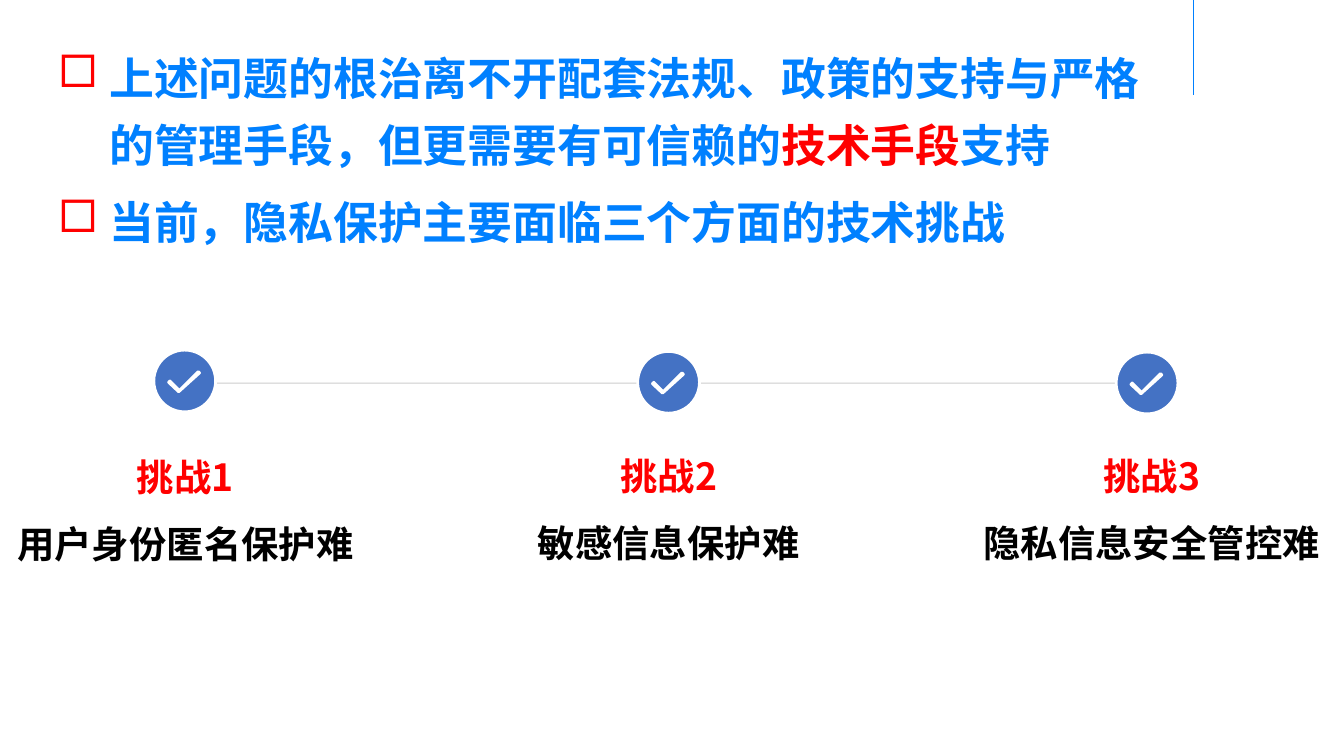
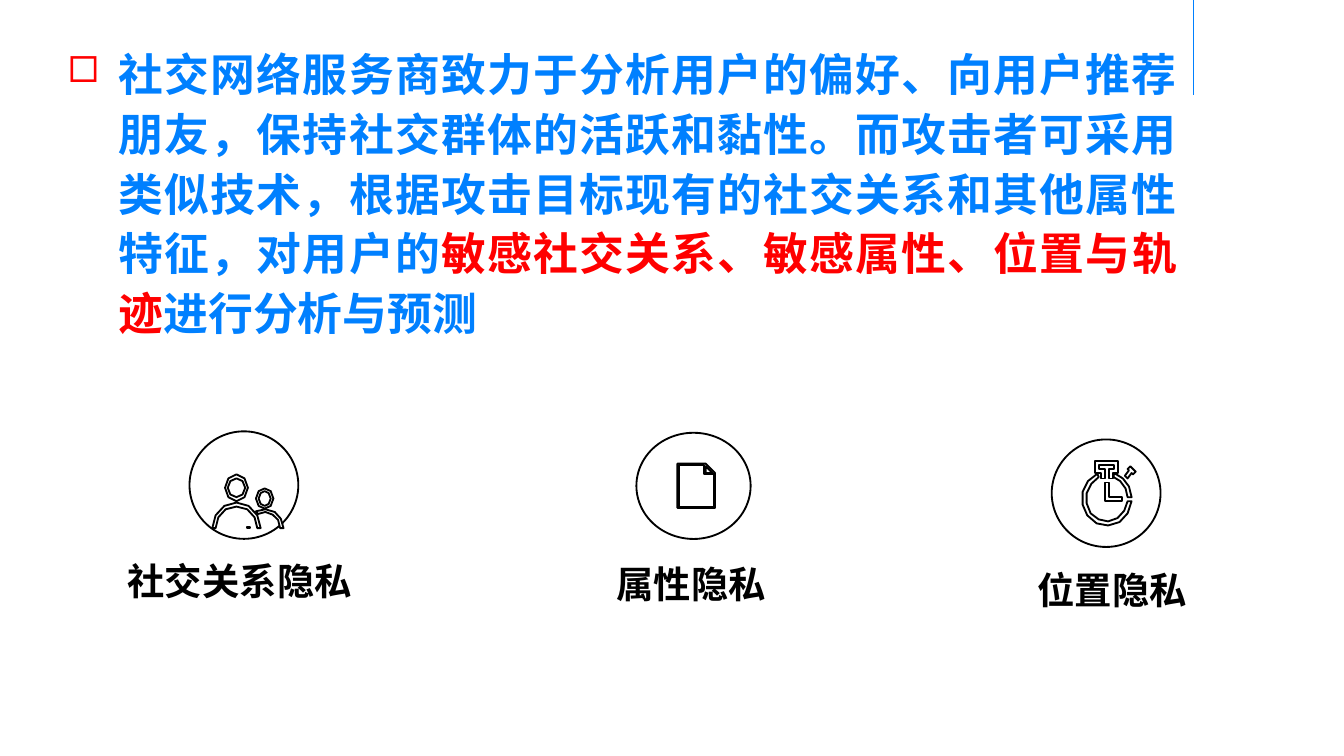
from math import cos, radians, sin

from lxml.etree import SubElement
from pptx import Presentation
from pptx.dml.color import RGBColor
from pptx.enum.shapes import MSO_CONNECTOR, MSO_SHAPE
from pptx.enum.text import MSO_ANCHOR, MSO_AUTO_SIZE, PP_ALIGN
from pptx.oxml.ns import qn
from pptx.util import Pt

PX = 4572
FONT = "Noto Sans CJK SC"
BLUE = RGBColor(0x00, 0x80, 0xFF)
BADGE_BLUE = RGBColor(0x44, 0x72, 0xC4)
RED = RGBColor(0xFF, 0x00, 0x00)
BLACK = RGBColor(0x00, 0x00, 0x00)
WHITE = RGBColor(0xFF, 0xFF, 0xFF)


def add_text(slide, box, paragraphs, size=20, align=PP_ALIGN.CENTER, spacing=None,
             bullet=None, anchor=MSO_ANCHOR.TOP, wrap=True, grow=False):
    shape = slide.shapes.add_textbox(*[length * PX for length in box])
    frame = shape.text_frame
    frame.word_wrap = wrap
    frame.vertical_anchor = anchor
    frame.auto_size = MSO_AUTO_SIZE.SHAPE_TO_FIT_TEXT if grow else MSO_AUTO_SIZE.NONE
    if not wrap:
        frame.margin_left = frame.margin_right = 0
    for index, runs in enumerate(paragraphs):
        paragraph = frame.add_paragraph() if index else frame.paragraphs[0]
        if bullet:
            properties = paragraph._p.get_or_add_pPr()
            properties.set("marL", str(76 * PX))
            properties.set("indent", str(-76 * PX))
            color = SubElement(properties, qn("a:buClr"))
            SubElement(color, qn("a:srgbClr"), val=str(RED))
            SubElement(properties, qn("a:buSzPct"), val=str(bullet * 1000))
            SubElement(properties, qn("a:buFont"), typeface="Wingdings",
                       pitchFamily="2", charset="2")
            SubElement(properties, qn("a:buChar"), char="¨")
        paragraph.alignment = align
        paragraph.line_spacing = spacing
        for text, color in runs:
            run = paragraph.add_run()
            run.text = text
            run.font.size = Pt(size)
            run.font.bold = True
            run.font.color.rgb = color
            run.font.name = FONT
            SubElement(run.font._element, qn("a:ea"), typeface=FONT)


def add_icon(slide, circle, contours, fill, line, weight):
    badge = slide.shapes.add_shape(MSO_SHAPE.OVAL, *[length * PX for length in circle])
    builder = slide.shapes.build_freeform(*contours[0][0], scale=PX)
    for index, points in enumerate(contours):
        if index:
            builder.move_to(*points[0])
        builder.add_line_segments(points[1:], close=True)
    for shape in (badge, builder.convert_to_shape()):
        shape.shadow.inherit = False
        shape.fill.solid()
        shape.fill.fore_color.rgb = fill
        shape.line.color.rgb = line
        shape.line.width = Pt(weight)


presentation = Presentation()
presentation.slide_width = 2000 * PX
presentation.slide_height = 1125 * PX
challenge_slide, privacy_slide = [
    presentation.slides.add_slide(presentation.slide_layouts[6]) for _ in range(2)
]

add_text(challenge_slide, (67, 45, 1708, 212), [[
    ("上述问题的根治离不开配套法规、政策的支持与严格的管理手段，但更需要有可信赖的", BLUE),
    ("技术手段", RED),
    ("支持", BLUE),
]], size=24, align=PP_ALIGN.LEFT, spacing=Pt(36), bullet=100, grow=True)
add_text(challenge_slide, (67, 280, 1708, 100), [[
    ("当前，隐私保护主要面临三个方面的技术挑战", BLUE),
]], size=24, align=PP_ALIGN.LEFT, bullet=100, grow=True)
add_text(privacy_slide, (81, 51, 1690, 462), [[
    ("社交网络服务商致力于分析用户的偏好、向用户推荐朋友，保持社交群体的活跃和黏性。"
     "而攻击者可采用类似技术，根据攻击目标现有的社交关系和其他属性特征，对用户的", BLUE),
    ("敏感社交关系、敏感属性、位置与轨迹", RED),
    ("进行分析与预测", BLUE),
]], size=24, align=PP_ALIGN.JUSTIFY, spacing=Pt(32), bullet=80, grow=True)

for slide, ends, color, weight, opacity in [
    (challenge_slide, (1776, 0, 1776, 142), BLUE, 1, 100),
    (privacy_slide, (1776, 0, 1776, 142), BLUE, 1, 100),
    (challenge_slide, (306, 570, 1706, 570), BLACK, 0.5, 20),
]:
    connector = slide.shapes.add_connector(
        MSO_CONNECTOR.STRAIGHT, *[length * PX for length in ends])
    connector.line.color.rgb = color
    connector.line.width = Pt(weight)
    rgb = connector._element.spPr.find(".//" + qn("a:srgbClr"))
    SubElement(rgb, qn("a:alpha"), val=str(opacity * 1000))
    SubElement(connector._element.spPr, qn("a:effectLst"))
    connector._element.remove(connector._element.find(qn("p:style")))

check = [(66, 32), (38, 60), (24, 46), (22, 48), (37, 62), (68, 34)]
challenges = [
    ("用户身份匿名保护难", (22, 633, 508, 206), 229, 521),
    ("敏感信息保护难", (797, 631, 396, 206), 949, 523),
    ("隐私信息安全管控难", (1460, 631, 508, 206), 1661, 524),
]
for number, (challenge, box, left, top) in enumerate(challenges, 1):
    mark = [(left + x, top + y) for x, y in check]
    add_icon(challenge_slide, (left, top, 92, 92), [mark], BADGE_BLUE, WHITE, 1.5)
    add_text(challenge_slide, box, [[(f"挑战{number}", RED)], [(challenge, BLACK)]],
             spacing=1.5, wrap=False, grow=True)

people = [[(368, 785), (372, 785), (372, 786), (368, 786)]]
document = [
    [(1008, 690), (1050, 690), (1064, 704), (1064, 756), (1008, 756)],
    [(1010, 692), (1048, 692), (1048, 706), (1062, 706), (1062, 754), (1010, 754)],
    [(1050, 694), (1060, 704), (1050, 704)],
]
stopwatch = [
    [(1644, 718), (1650, 718), (1650, 740), (1670, 740), (1670, 746), (1644, 746)],
    [(1682, 694), (1690, 702), (1686, 706), (1684, 704), (1678, 712), (1674, 708),
     (1680, 700), (1678, 698)],
    [(1630, 686), (1664, 686), (1664, 704), (1656, 704), (1656, 712), (1650, 712),
     (1650, 698), (1658, 698), (1658, 692), (1636, 692), (1636, 698), (1644, 698),
     (1644, 712), (1638, 712), (1638, 704), (1630, 704)],
]
for icon, steps, arcs in [
    (people, 8, [(352, 726, 17, 20, 0, 360)]),
    (people, 8, [(352, 726, 13, 14, 0, 360)]),
    (people, 8, [(394, 742, 13, 15, 0, 360)]),
    (people, 8, [(394, 742, 9, 11, 0, 360)]),
    (people, 6, [(352, 786, 36, 38, 180, 360), (352, 786, 31, 32, 360, 180)]),
    (people, 4, [(394, 786, 28, 28, 243, 360), (394, 786, 23, 24, 360, 243)]),
    (stopwatch, 3, [(1647, 742, 37, 40, -72, -3), (1647, 742, 31, 34, -3, -72)]),
    (stopwatch, 9, [(1647, 742, 37, 40, 6, 248), (1647, 742, 31, 34, 248, 6)]),
]:
    contour = []
    for center_x, center_y, radius_x, radius_y, start, end in arcs:
        for step in range(steps + 1):
            angle = radians(start + (end - start) * step / steps)
            contour.append((center_x + radius_x * cos(angle),
                            center_y + radius_y * sin(angle)))
    icon.append(contour)

for label, box, circle, icon in [
    ("社交关系隐私", (53, 807, 608, 114), (282, 642, 162, 160), people),
    ("属性隐私", (759, 812, 540, 114), (947, 644, 170, 158), document),
    ("位置隐私", (1385, 820, 540, 114), (1565, 654, 162, 160), stopwatch),
]:
    add_icon(privacy_slide, circle, icon, WHITE, BLACK, 1)
    add_text(privacy_slide, box, [[(label, BLACK)]], anchor=MSO_ANCHOR.MIDDLE)

presentation.save("out.pptx")
